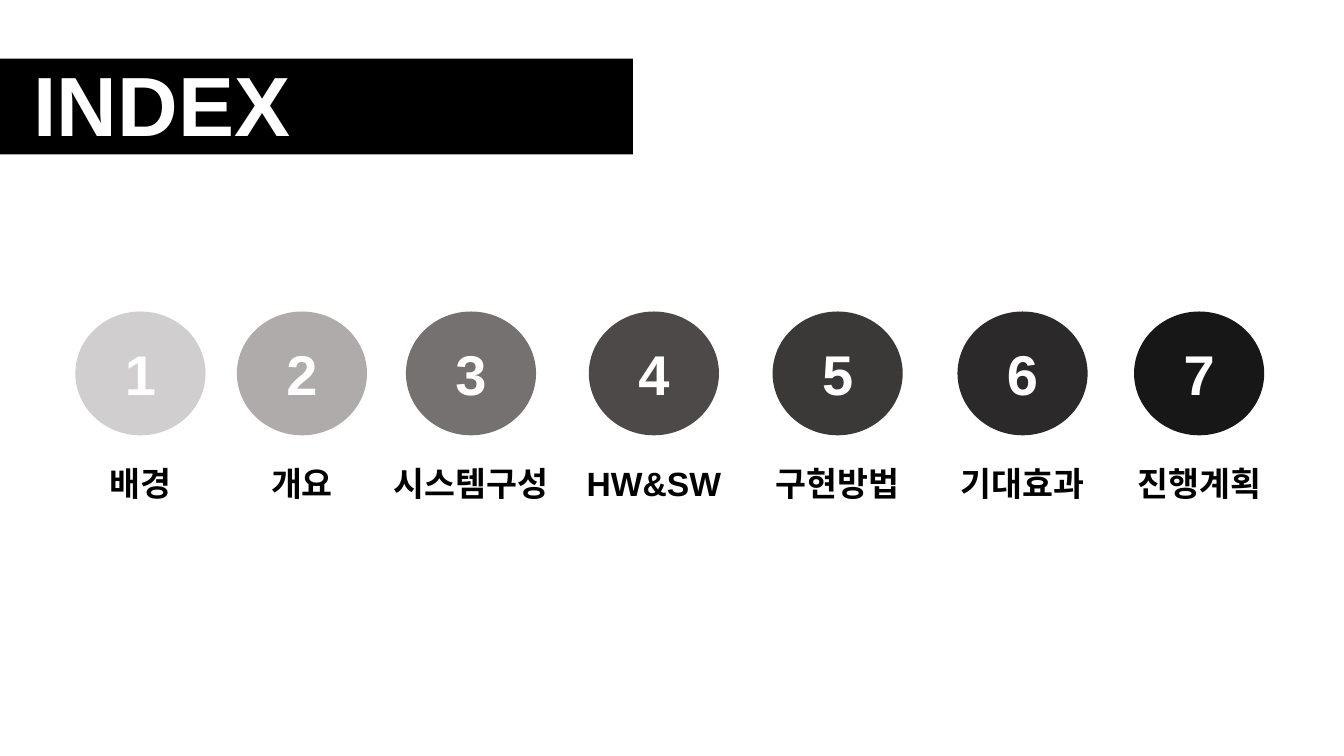
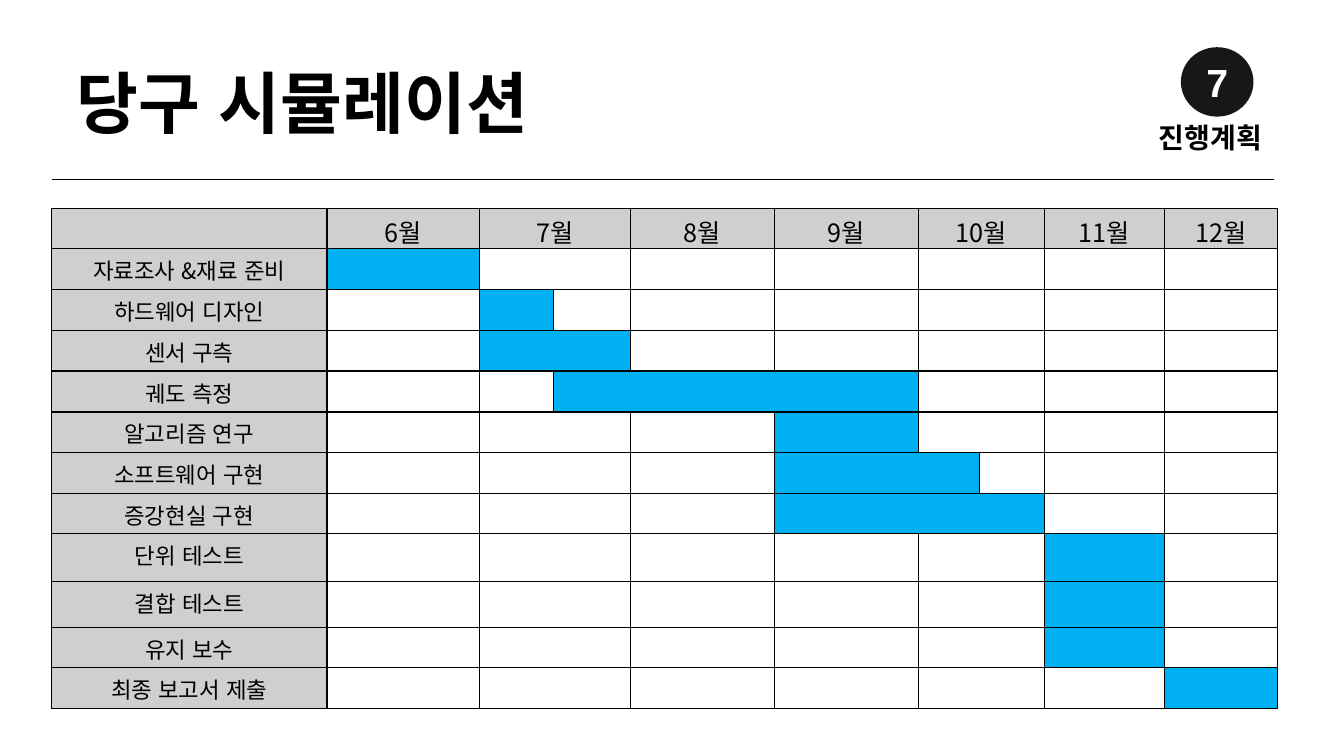
from dataclasses import dataclass

from lxml.etree import SubElement
from pptx import Presentation
from pptx.dml.color import RGBColor
from pptx.enum.lang import MSO_LANGUAGE_ID
from pptx.enum.shapes import MSO_CONNECTOR, MSO_SHAPE
from pptx.enum.text import MSO_ANCHOR, PP_ALIGN
from pptx.oxml.ns import qn
from pptx.util import Cm, Pt


@dataclass(frozen=True)
class Theme:
    black: str = "000000"
    white: str = "FFFFFF"
    head: str = "D0CECE"
    bar: str = "00B0F0"
    tones: tuple = ("D0CECE", "AFABAB", "767171", "4D4949", "3B3838", "2B2929", "181717")
    face: str = "Arial"
    grid: str = "Noto Sans CJK KR"
    cover: int = 60
    title: int = 48
    big: int = 40
    small: int = 28
    label: int = 24
    note: int = 20
    month: int = 18
    task: int = 16


T = Theme()
TOPICS = ("배경", "개요", "시스템구성", "HW&SW", "구현방법", "기대효과", "진행계획")
LEFTS = (1.9, 5.97, 10.23, 14.84, 19.47, 24.13, 28.58)
COLS = (6.94, 3.84, 1.87, 1.94, 3.63, 3.62, 1.54, 1.64, 3.02, 2.86)
ROWS = (1.01,) + (1.03,) * 5 + (1.02, 1.02, 1.21, 1.15, 1.02, 1.02)
PAIRS = ((2, 3), (6, 7))
MONTHS = {1: "6월", 2: "7월", 4: "8월", 5: "9월", 6: "10월", 8: "11월", 9: "12월"}
TASKS = (
    ("자료조사 &재료 준비", 1, 1),
    ("하드웨어 디자인", 2, 2),
    ("센서 구측", 2, 3),
    ("궤도 측정", 3, 5),
    ("알고리즘 연구", 5, 5),
    ("소프트웨어 구현", 5, 6),
    ("증강현실 구현", 5, 7),
    ("단위 테스트", 8, 8),
    ("결합 테스트", 8, 8),
    ("유지 보수", 8, 8),
    ("최종 보고서 제출", 9, 9),
)


def tint(item, color):
    item.fill.solid()
    item.fill.fore_color.rgb = RGBColor.from_string(color)


def write(frame, text, size, color=T.black, bold=True, face=T.face, align=PP_ALIGN.CENTER):
    para = frame.paragraphs[0]
    para.alignment = align
    run = para.add_run()
    run.text = text
    font = run.font
    font.size, font.bold, font.name = Pt(size), bold, face
    font.language_id = MSO_LANGUAGE_ID.KOREAN
    font.color.rgb = RGBColor.from_string(color)
    return para


def solid(shapes, kind, box, color):
    shape = shapes.add_shape(kind, *map(Cm, box))
    shape.shadow.inherit = False
    tint(shape, color)
    shape.line.fill.background()
    shape.text_frame.vertical_anchor = MSO_ANCHOR.MIDDLE
    return shape


def badge(shapes, box, index, size, label, gap, shift=0):
    left, top, width, height = box
    disc = solid(shapes, MSO_SHAPE.OVAL, box, T.tones[index])
    write(disc.text_frame, str(index + 1), size, T.white)
    note = shapes.add_textbox(Cm(left - 1 + shift), Cm(top + height + gap), Cm(width + 2), Cm(1.2))
    note.text_frame.word_wrap = False
    write(note.text_frame, TOPICS[index], label)


def banner(slide, box, text):
    band = solid(slide.shapes, MSO_SHAPE.RECTANGLE, box, T.black)
    band.text_frame.margin_left = Cm(0.85)
    band.text_frame.margin_top = Cm(0.28)
    para = write(band.text_frame, text, T.cover, T.white, align=PP_ALIGN.LEFT)
    para.line_spacing = 0.9


def header(slide, box, text):
    left, top, width, height = box
    title = slide.shapes.add_textbox(Cm(left + 0.38), Cm(top + 0.22), Cm(16.87), Cm(2.31))
    title.text_frame.word_wrap = True
    write(title.text_frame, text, T.title, align=PP_ALIGN.LEFT)
    group = slide.shapes.add_group_shape()
    badge(group.shapes, (left + width - 2.35, top, 1.83, 1.75), 6, T.small, T.note, -0.02, -0.17)
    base = Cm(top + height)
    rule = slide.shapes.add_connector(MSO_CONNECTOR.STRAIGHT, Cm(left), base, Cm(left + width), base)
    rule.line.color.rgb = RGBColor.from_string(T.black)
    rule.line.width = Pt(0.25)
    SubElement(rule._element.spPr, qn("a:effectLst"))


def frame_cell(cell, color):
    props = cell._tc.get_or_add_tcPr()
    for side in ("lnL", "lnR", "lnT", "lnB"):
        line = SubElement(props, qn("a:" + side), w=str(Pt(1)))
        paint = SubElement(line, qn("a:solidFill"))
        SubElement(paint, qn("a:srgbClr"), val=T.black)
    tint(cell, color)
    cell.margin_top, cell.margin_bottom = Cm(0.13), Cm(0)


def fill_cell(cell, text, size):
    para = write(cell.text_frame, text, size, bold=False, face=T.grid)
    props = para.runs[0].font._element
    SubElement(props, qn("a:ea"), typeface=T.grid)


def gantt(slide, left, top):
    shape = slide.shapes.add_table(len(ROWS), len(COLS), Cm(left), Cm(top), Cm(sum(COLS)), Cm(sum(ROWS)))
    table = shape.table
    table.first_row = table.horz_banding = False
    for col, width in zip(table.columns, COLS):
        col.width = Cm(width)
    for row, height in zip(table.rows, ROWS):
        row.height = Cm(height)
    for y in range(len(ROWS)):
        name, first, last = TASKS[y - 1] if y else ("", 0, -1)
        for x in range(len(COLS)):
            color = T.head if x == 0 or y == 0 else T.bar if first <= x <= last else T.white
            frame_cell(table.cell(y, x), color)
        spans = [pair for pair in PAIRS if last < pair[0] or first > pair[1]]
        if last > first:
            spans.append((first, last))
        for start, end in spans:
            table.cell(y, start).merge(table.cell(y, end))
        if name:
            fill_cell(table.cell(y, 0), name, T.task)
    for x, month in MONTHS.items():
        fill_cell(table.cell(0, x), month, T.month)


def index_slide(slide):
    banner(slide, (0, 1.48, 15.95, 2.41), "INDEX")
    for index, left in enumerate(LEFTS):
        badge(slide.shapes, (left, 7.85, 3.28, 3.12), index, T.big, T.label, 0.58)


def plan_slide(slide):
    header(slide, (1.3, 1.19, 30.81, 3.33), "당구 시뮬레이션")
    gantt(slide, 1.3, 5.25)


def main():
    deck = Presentation()
    deck.slide_width, deck.slide_height = Cm(33.87), Cm(19.05)
    for build in (index_slide, plan_slide):
        build(deck.slides.add_slide(deck.slide_layouts[6]))
    deck.save("out.pptx")


if __name__ == "__main__":
    main()
